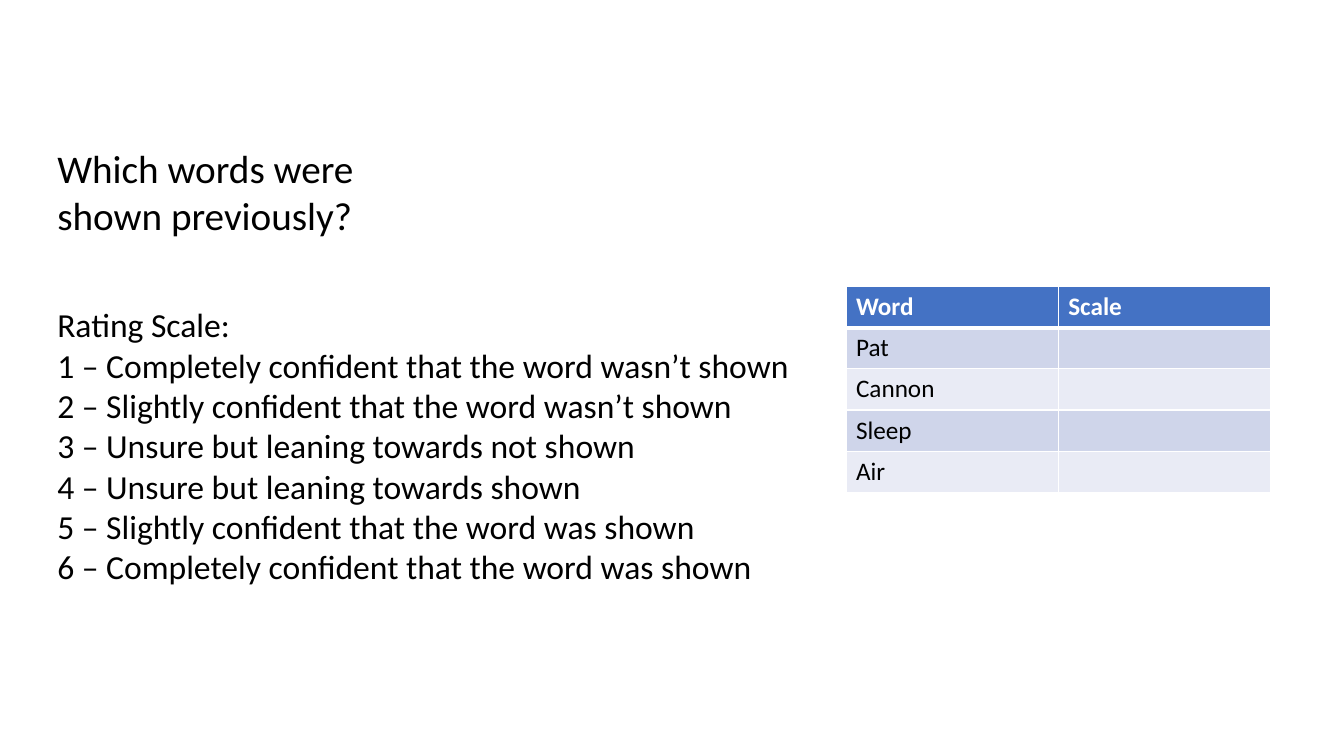
from dataclasses import dataclass

import pptx
import pptx.dml.color
import pptx.enum.text
import pptx.oxml
import pptx.oxml.ns
import pptx.util

Pt = pptx.util.Pt


@dataclass(frozen=True)
class Theme:
    font: str = "Calibri"
    ink: str = "000000"
    white: str = "FFFFFF"
    header: str = "4472C4"
    bands: tuple[str, str] = ("CFD5EA", "E9EBF5")
    question_size: float = 28
    scale_size: float = 24
    table_size: float = 18
    thin: float = 1
    thick: float = 3


@dataclass(frozen=True)
class TextBlock:
    lines: list[str]
    top: float
    width: float
    height: float
    size: float


THEME = Theme()
LEFT = 33.84
TABLE_LEFT, TABLE_TOP = 604.3, 204.7
COLUMN_WIDTH, ROW_HEIGHT = 151.6, 29.4

RATINGS = [
    "Completely confident that the word wasn’t shown",
    "Slightly confident that the word wasn’t shown",
    "Unsure but leaning towards not shown",
    "Unsure but leaning towards shown",
    "Slightly confident that the word was shown",
    "Completely confident that the word was shown",
]
BLOCKS = [
    TextBlock(["Which words were", "shown previously?"], 99.4, 311, 75, THEME.question_size),
    TextBlock(
        ["Rating Scale:"] + [f"{number} – {rating}" for number, rating in enumerate(RATINGS, 1)],
        213.8, 547.2, 211, THEME.scale_size,
    ),
]
HEADINGS = ["Word", "Scale"]
WORDS = ["Pat", "Cannon", "Sleep", "Air"]


def rgb(color: str) -> pptx.dml.color.RGBColor:
    return pptx.dml.color.RGBColor.from_string(color)


def write(frame, lines: list[str], *, size: float, color: str = THEME.ink, bold: bool = False) -> None:
    """Fill a text frame with one paragraph per line."""
    for index, line in enumerate(lines):
        para = frame.paragraphs[0] if index == 0 else frame.add_paragraph()
        para.alignment = pptx.enum.text.PP_ALIGN.LEFT
        span = para.add_run()
        span.text = line
        span.font.name = THEME.font
        span.font.size = Pt(size)
        span.font.bold = bold
        span.font.color.rgb = rgb(color)


def draw_block(page, block: TextBlock) -> None:
    box = page.shapes.add_textbox(Pt(LEFT), Pt(block.top), Pt(block.width), Pt(block.height))
    box.text_frame.word_wrap = True
    write(box.text_frame, block.lines, size=block.size)


def set_borders(cell, *, top: float, bottom: float) -> None:
    properties = cell._tc.get_or_add_tcPr()
    widths = {"lnL": THEME.thin, "lnR": THEME.thin, "lnT": top, "lnB": bottom}
    for side, width in widths.items():
        properties.append(pptx.oxml.parse_xml(
            f'<a:{side} {pptx.oxml.ns.nsdecls("a")} w="{Pt(width)}"><a:solidFill>'
            f'<a:srgbClr val="{THEME.white}"/></a:solidFill></a:{side}>'
        ))


def draw_table(page) -> None:
    rows = [HEADINGS] + [[word, ""] for word in WORDS]
    table = page.shapes.add_table(
        len(rows), len(HEADINGS), Pt(TABLE_LEFT), Pt(TABLE_TOP),
        Pt(COLUMN_WIDTH * len(HEADINGS)), Pt(ROW_HEIGHT * len(rows)),
    ).table
    table.horz_banding = False
    for row_index, texts in enumerate(rows):
        is_header = row_index == 0
        table.rows[row_index].height = Pt(ROW_HEIGHT)
        for column_index, text in enumerate(texts):
            cell = table.cell(row_index, column_index)
            # The thick rule lies between the header and the first word
            set_borders(
                cell,
                top=THEME.thick if row_index == 1 else THEME.thin,
                bottom=THEME.thick if is_header else THEME.thin,
            )
            cell.fill.solid()
            cell.fill.fore_color.rgb = rgb(THEME.header if is_header else THEME.bands[(row_index - 1) % 2])
            if text:
                write(
                    cell.text_frame, [text], size=THEME.table_size,
                    color=THEME.white if is_header else THEME.ink, bold=is_header,
                )


# Deck with one blank page
deck = pptx.Presentation()
deck.slide_width, deck.slide_height = Pt(960), Pt(540)
page = deck.slides.add_slide(deck.slide_layouts[6])

# Word table, then the question and its rating scale
draw_table(page)
for block in BLOCKS:
    draw_block(page, block)

deck.save("out.pptx")
